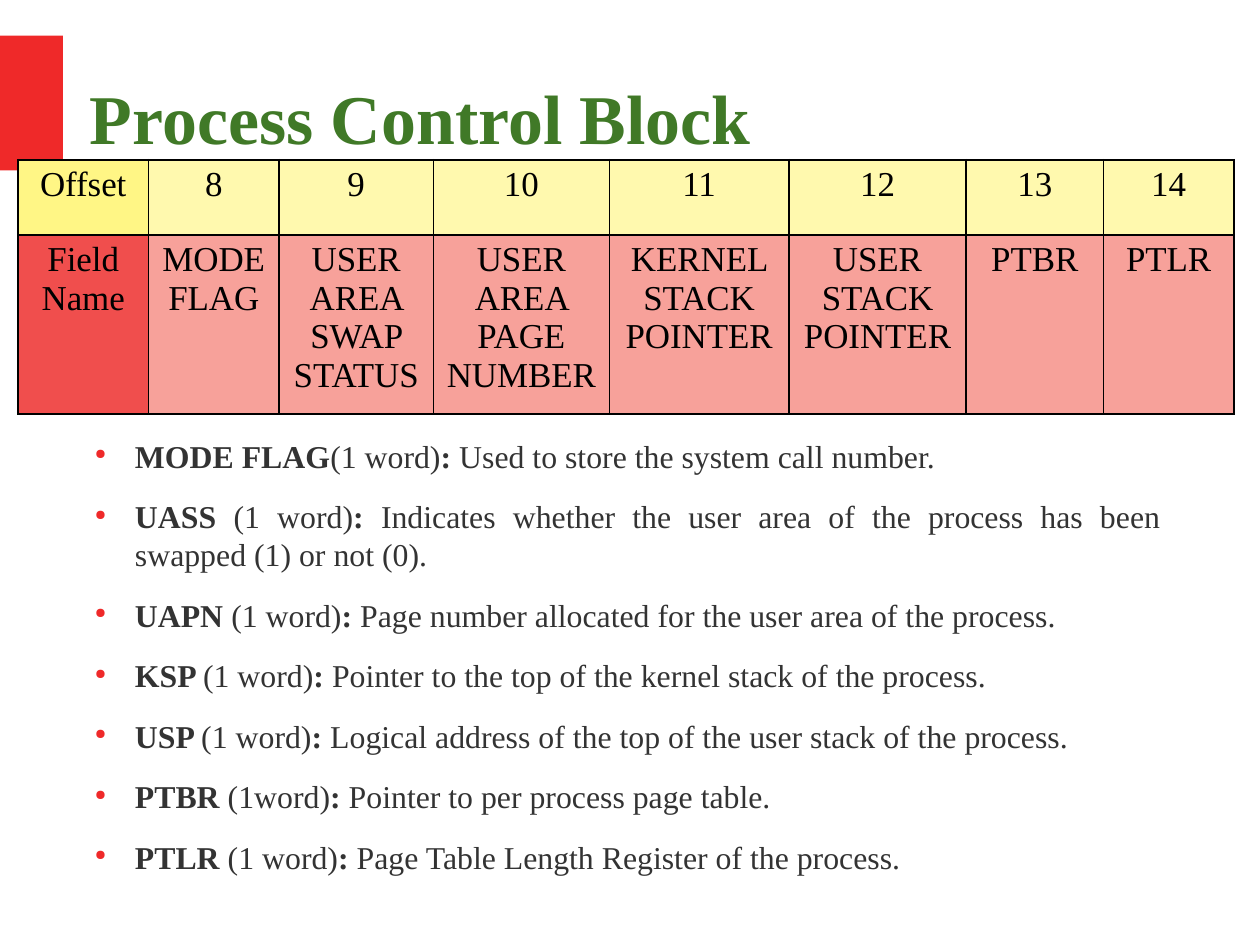
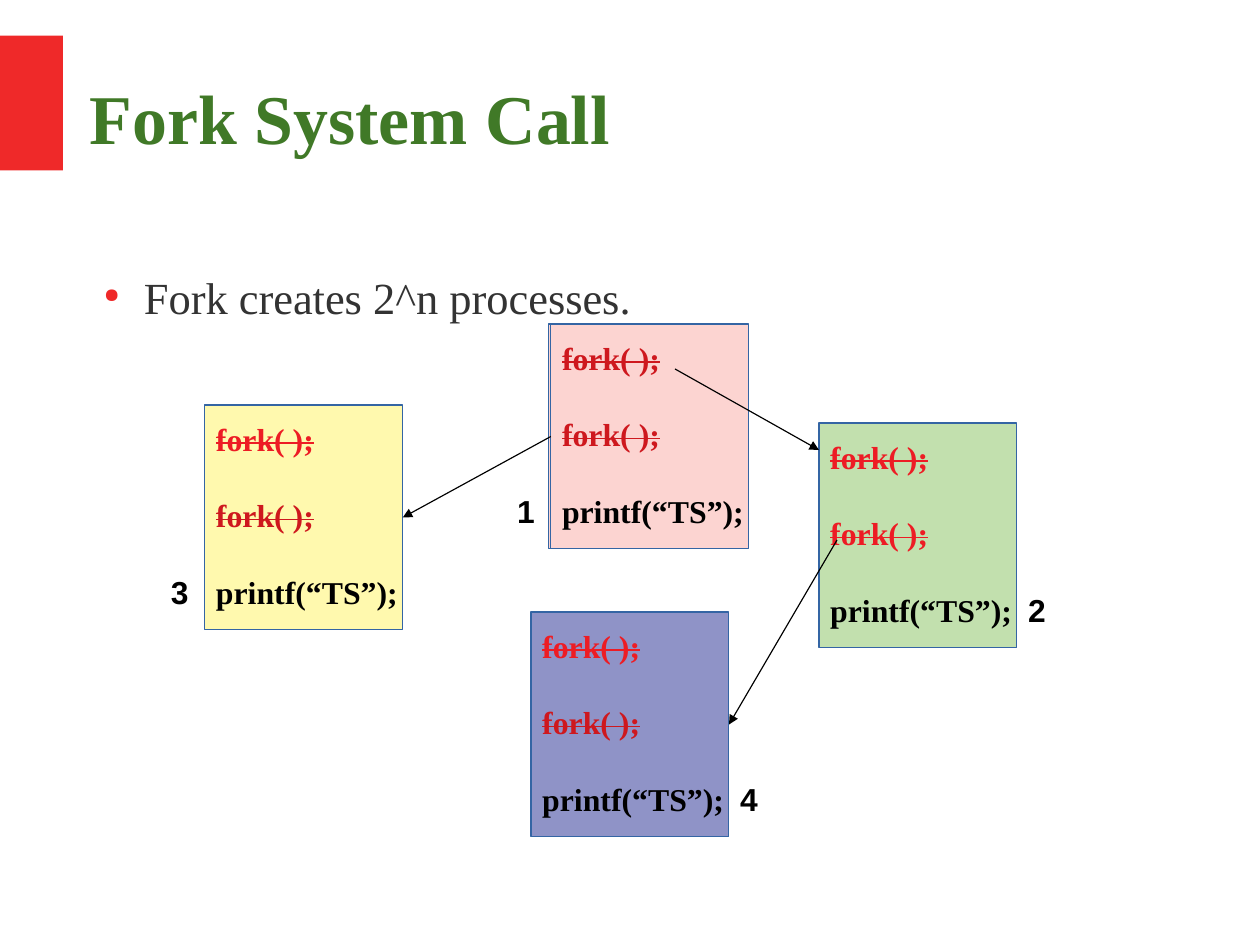
from pptx import Presentation
from pptx.dml.color import RGBColor
from pptx.enum.shapes import MSO_CONNECTOR, MSO_SHAPE
from pptx.enum.text import MSO_ANCHOR, PP_ALIGN
from pptx.oxml.ns import qn
from pptx.util import Cm, Pt
from lxml.etree import SubElement

COLORS = {
    "band": "EF2929", "title": "407927", "body": "333333", "black": "000000",
    "outline": "3465A4", "bright red": "ED1C24", "dark red": "CE181E",
    "offset head": "FFF685", "yellow": "FFF9AE",
    "field head": "F04E4D", "salmon": "F7A19A",
    "pink": "FCD4D1", "green": "C2E0AE", "violet": "8F93C7",
}
SERIF = "Times New Roman"

# Content: process control block
TABLE_ROWS = [
    ["Offset", "8", "9", "10", "11", "12", "13", "14"],
    ["Field Name", "MODE FLAG", "USER AREA SWAP STATUS", "USER AREA PAGE NUMBER",
     "KERNEL STACK POINTER", "USER STACK POINTER", "PTBR", "PTLR"],
]
ROW_FILLS = [("offset head", "yellow"), ("field head", "salmon")]
COLUMN_WIDTHS = [2.9, 2.9, 3.43, 3.91, 3.99, 3.94, 3.05, 2.9]
ROW_HEIGHTS = [1.67, 3.69]
FIELDS = [  # name, size, description
    ("MODE FLAG", "(1 word)", "Used to store the system call number."),
    ("UASS ", "(1 word)", "Indicates whether the user area of the process "
     "has been swapped (1) or not (0)."),
    ("UAPN ", "(1 word)", "Page number allocated for the user area of the process."),
    ("KSP ", "(1 word)", "Pointer to the top of the kernel stack of the process."),
    ("USP ", "(1 word)", "Logical address of the top of the user stack of the process."),
    ("PTBR ", "(1word)", "Pointer to per process page table."),
    ("PTLR ", "(1 word)", "Page Table Length Register of the process."),
]

# Content: fork system call
BOX_WIDTH, BOX_HEIGHT = 4.4, 5
PROCESSES = [  # number, left, top, fill, colours of the two forks, number side
    ("3", 4.55, 9, "yellow", ("bright red", "dark red"), "left"),
    ("4", 11.8, 13.6, "violet", ("bright red", "dark red"), "right"),
    ("1", 12.24, 7.2, "pink", ("dark red", "dark red"), "left"),
    ("2", 18.2, 9.4, "green", ("bright red", "bright red"), "right"),
]
ARROWS = [  # start, end, (process, side) joined at the start and at the end
    ((12.24, 9.7), (8.95, 11.5), ("1", 1), ("3", 3)),
    ((15, 8.2), (18.2, 10), None, None),
    ((18.6, 12), (16.2, 16.1), None, ("4", 3)),
]


def color(name):
    return RGBColor.from_string(COLORS[name])


def set_font(font, size, color_name, bold=False, name=SERIF):
    font.name, font.size, font.bold = name, Pt(size), bold
    font.color.rgb = color(color_name)


def add_rectangle(page, left, top, width, height, fill, outline=None):
    box = page.shapes.add_shape(MSO_SHAPE.RECTANGLE, Cm(left), Cm(top), Cm(width), Cm(height))
    box.shadow.inherit = False
    box.fill.solid()
    box.fill.fore_color.rgb = color(fill)
    if outline:
        box.line.color.rgb = color(outline)
        box.line.width = Pt(0.75)
    else:
        box.line.fill.background()
    return box


def add_text_frame(page, left, top, width, height, margin=0):
    box = page.shapes.add_textbox(Cm(left), Cm(top), Cm(width), Cm(height))
    frame = box.text_frame
    frame.word_wrap = True
    frame.margin_left = frame.margin_right = Cm(margin)
    frame.margin_top = frame.margin_bottom = Cm(margin / 2)
    return frame


def add_paragraphs(frame, count):
    return [frame.paragraphs[0]] + [frame.add_paragraph() for _ in range(count - 1)]


def add_page(deck, title):
    page = deck.slides.add_slide(deck.slide_layouts[6])
    add_rectangle(page, 0, 0.79, 1.4, 3, "band")
    frame = add_text_frame(page, 2, 0.84, 24.6, 3.5)
    frame.vertical_anchor = MSO_ANCHOR.MIDDLE
    para = frame.paragraphs[0]
    para.text = title
    set_font(para.font, 44, "title", bold=True)
    return page


def add_bullets(page, left, top, width, height, items, size, align):
    """Each item is a list of (text, bold) pairs."""
    frame = add_text_frame(page, left, top, width, height)
    for para, spans in zip(add_paragraphs(frame, len(items)), items):
        para.alignment = align
        para.line_spacing = Pt(size * 1.2)
        para.space_after = Pt(14.1)
        set_font(para.font, size, "body")
        for text, bold in spans:
            span = para.add_run()
            span.text = text
            span.font.bold = bold
        # Bullet mark
        props = para._p.get_or_add_pPr()
        props.set("marL", str(Cm(1.2)))
        props.set("indent", str(-Cm(0.89)))
        mark = SubElement(props, qn("a:buClr"))
        SubElement(mark, qn("a:srgbClr"), val=COLORS["band"])
        SubElement(props, qn("a:buSzPct"), val="45000")
        SubElement(props, qn("a:buChar"), char="●")
        # Paragraph defaults come after the bullet in the schema
        props.append(props.find(qn("a:defRPr")))


def set_borders(cell):
    props = cell._tc.get_or_add_tcPr()
    for index, side in enumerate(("lnL", "lnR", "lnT", "lnB")):
        line = SubElement(props, qn("a:" + side), w=str(Pt(1.13)))
        fill = SubElement(line, qn("a:solidFill"))
        SubElement(fill, qn("a:srgbClr"), val=COLORS["black"])
        props.insert(index, line)


def add_field_table(page):
    table = page.shapes.add_table(
        len(TABLE_ROWS), len(COLUMN_WIDTHS), Cm(0.4), Cm(3.55),
        Cm(sum(COLUMN_WIDTHS)), Cm(sum(ROW_HEIGHTS))).table
    for column, width in zip(table.columns, COLUMN_WIDTHS):
        column.width = Cm(width)
    for r, texts in enumerate(TABLE_ROWS):
        table.rows[r].height = Cm(ROW_HEIGHTS[r])
        for c, text in enumerate(texts):
            cell = table.cell(r, c)
            cell.fill.solid()
            cell.fill.fore_color.rgb = color(ROW_FILLS[r][c > 0])
            set_borders(cell)
            para = cell.text_frame.paragraphs[0]
            para.text = text
            para.alignment = PP_ALIGN.CENTER
            set_font(para.font, 22, "black")


def add_process(page, number, left, top, fill, fork_colors, side):
    box = add_rectangle(page, left, top, BOX_WIDTH, BOX_HEIGHT, fill, "outline")
    frame = box.text_frame
    frame.word_wrap = True
    frame.vertical_anchor = MSO_ANCHOR.TOP
    frame.margin_left, frame.margin_right = Cm(0.25), 0
    frame.margin_top, frame.margin_bottom = Cm(0.33), 0
    lines = [("fork( );", name) for name in fork_colors] + [("printf(“TS”);", "black")]
    for para, (text, name) in zip(add_paragraphs(frame, len(lines)), lines):
        span = para.add_run()
        span.text = text
        para.alignment = PP_ALIGN.LEFT
        para.line_spacing = para.space_after = Pt(24)
        set_font(para.font, 20, name, bold=True)
        if name != "black":
            span._r.get_or_add_rPr().set("strike", "sngStrike")
    # Process number beside the box
    label_left = left - 1 if side == "left" else left + BOX_WIDTH
    para = add_text_frame(page, label_left, top + 3.6, 0.9, 1.04, 0.25).paragraphs[0]
    para.text = number
    set_font(para.font, 20, "black", bold=True, name="Arial")
    return box


def add_arrow(page, boxes, start, end, start_joint, end_joint):
    arrow = page.shapes.add_connector(
        MSO_CONNECTOR.STRAIGHT, *(Cm(value) for value in start + end))
    if start_joint:
        arrow.begin_connect(boxes[start_joint[0]], start_joint[1])
    if end_joint:
        arrow.end_connect(boxes[end_joint[0]], end_joint[1])
    arrow.line.color.rgb = color("black")
    arrow.line.width = Pt(0.75)
    SubElement(arrow.line._get_or_add_ln(), qn("a:tailEnd"), type="triangle")
    SubElement(arrow._element.spPr, qn("a:effectLst"))


def main():
    deck = Presentation()
    deck.slide_width, deck.slide_height = Cm(28), Cm(21)

    # Process control block
    page = add_page(deck, "Process Control Block")
    items = [[(name, True), (size, False), (": ", True), (text, False)]
             for name, size, text in FIELDS]
    add_bullets(page, 1.8, 9.7, 24, 11.5, items, 20, PP_ALIGN.JUSTIFY)
    add_field_table(page)

    # Fork system call
    page = add_page(deck, "Fork System Call")
    add_bullets(page, 2, 6, 24, 12.17, [[("Fork creates 2^n processes.", False)]],
                28, PP_ALIGN.LEFT)
    # Sheet showing behind the first process
    add_rectangle(page, 12.19, 7.2, BOX_WIDTH, BOX_HEIGHT, "pink", "outline")
    boxes = {process[0]: add_process(page, *process) for process in PROCESSES}
    for arrow in ARROWS:
        add_arrow(page, boxes, *arrow)

    deck.save("out.pptx")


if __name__ == "__main__":
    main()
